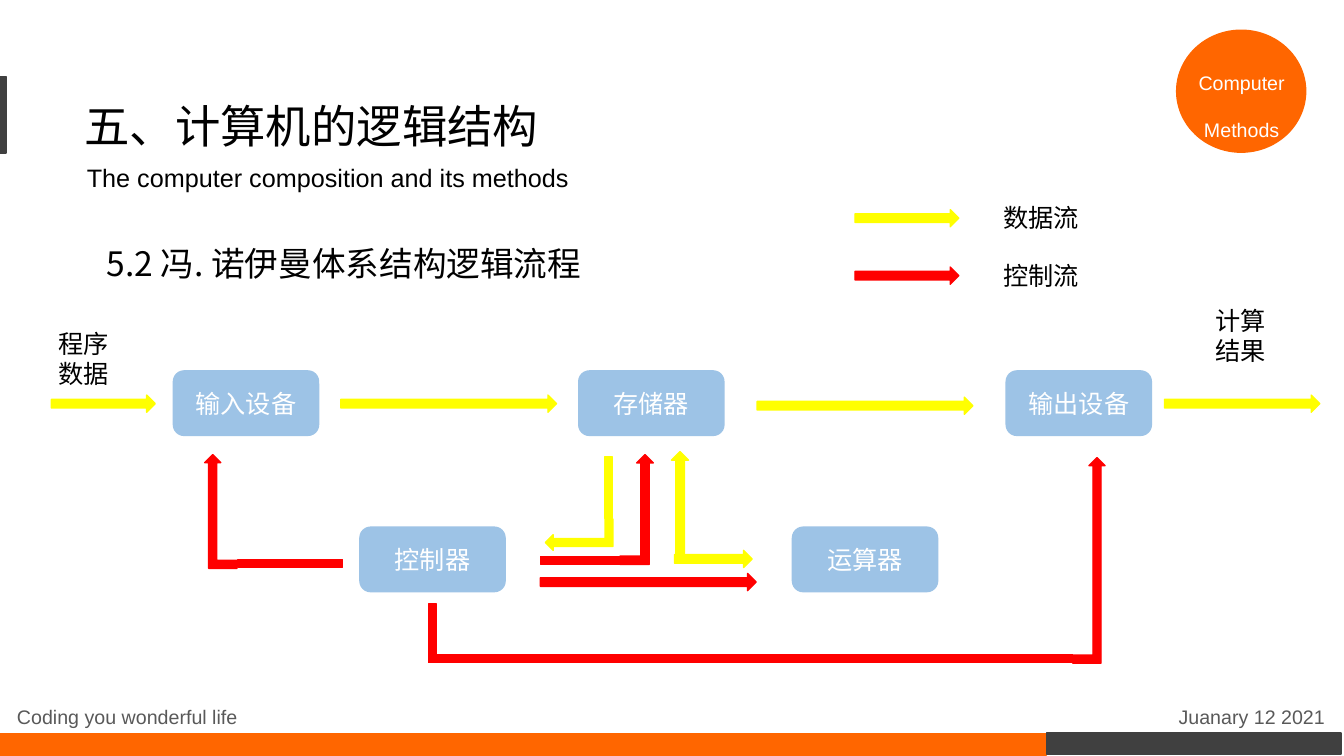
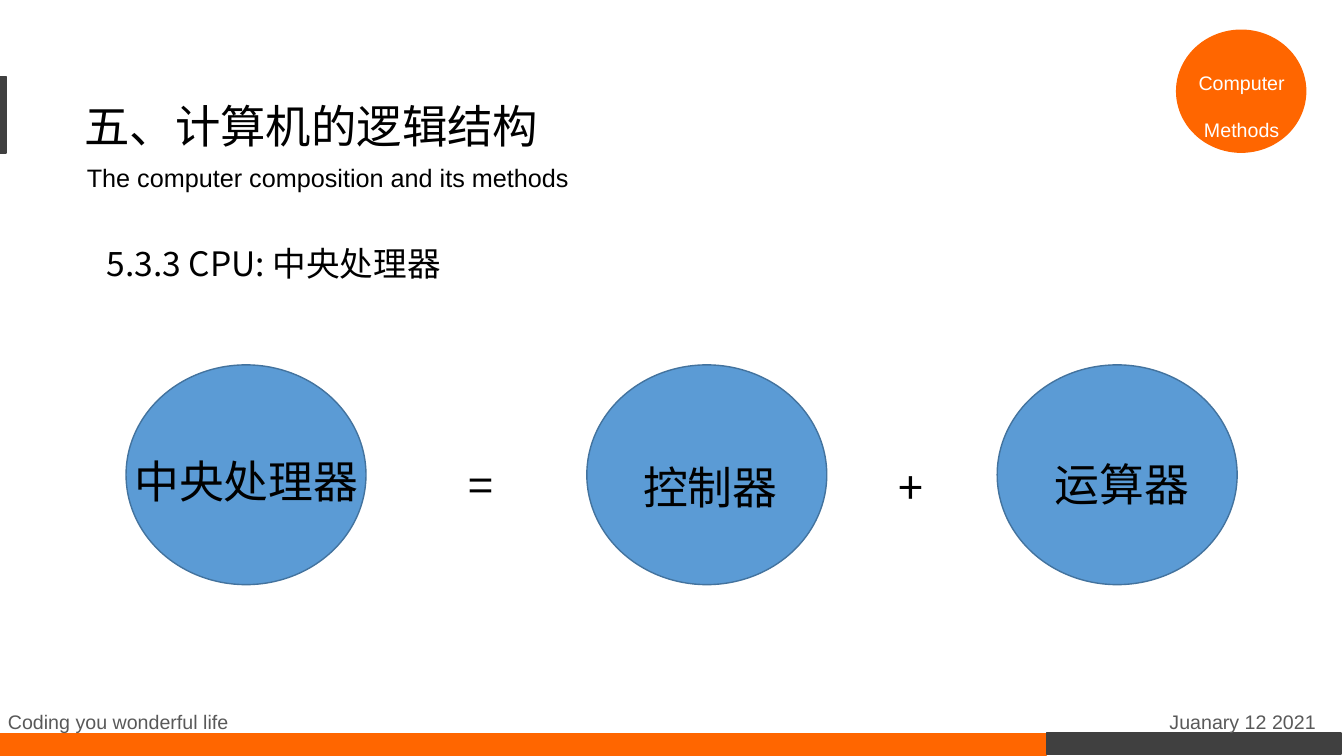
from dataclasses import dataclass

from pptx import Presentation
from pptx import util as u
from pptx.dml.color import RGBColor
from pptx.enum import lang, shapes, text
from pptx.oxml.ns import qn


@dataclass(frozen=True)
class Theme:
    orange: str = "FF6600"
    dark: str = "404040"
    grey: str = "595959"
    black: str = "000000"
    white: str = "FFFFFF"
    device: str = "9DC3E6"
    circle: str = "5B9BD5"
    circle_edge: str = "43739E"
    data: str = "FFFF00"
    control: str = "FF0000"
    latin: str = "Arial"
    han: str = "Noto Sans CJK SC"
    title: float = 32.4
    term: float = 32
    heading: float = 24
    body: float = 18
    small: float = 14


T = Theme()
KIND = shapes.MSO_SHAPE
LEFT, CENTER, RIGHT = (text.PP_ALIGN.LEFT, text.PP_ALIGN.CENTER,
                       text.PP_ALIGN.RIGHT)
SLIDE_W, SLIDE_H = 13.33, 7.5

# Shared content
TITLE = "五、计算机的逻辑结构"
SUBTITLE = "The computer composition and its methods"
BADGE = ["Computer", "Methods"]
FOOTER = [("Coding you wonderful life", LEFT), ("Juanary 12 2021", RIGHT)]
FRAME = [  # kind, box, colour
    (KIND.RECTANGLE, (-0.01, 7.28, 10.39, 0.21), T.orange),
    (KIND.RECTANGLE, (10.38, 7.27, 2.92, 0.21), T.dark),
    (KIND.OVAL, (11.67, 0.3, 1.28, 1.21), T.orange),
    (KIND.RECTANGLE, (-0.02, 0.76, 0.08, 0.76), T.dark),
]

# Flow slide: device grid and the arrows between devices
FLOW_HEADING = "5.2 冯. 诺伊曼体系结构逻辑流程"
LEGEND = [("数据流", T.data), ("控制流", T.control)]
LEGEND_TOP, LEGEND_PITCH = 1.96, 0.57
UPPER, LOWER = 3.68, 5.23
DEVICE_W, DEVICE_H = 1.44, 0.64
DEVICES = [
    ("输入设备", 1.72, UPPER), ("存储器", 5.74, UPPER),
    ("输出设备", 9.98, UPPER), ("控制器", 3.57, LOWER),
    ("运算器", 7.86, LOWER),
]
ENDS = [  # lines, box
    (["程序", "数据"], (0.48, 3.21, 0.8, 0.71)),
    (["计算结果"], (11.96, 2.98, 0.75, 0.71)),
]
BAR, HEAD = 0.08, 0.17
STRAIGHT = [  # left, top, length, colour, rotation
    (0.51, 3.92, 1.03, T.data, 0), (3.38, 3.92, 2.14, T.data, 0),
    (7.51, 3.94, 2.14, T.data, 0), (11.55, 3.92, 1.54, T.data, 0),
    (5.36, 5.69, 2.14, T.control, 0), (6.23, 4.91, 1.03, T.data, 270),
    (6.69, 5.46, 0.77, T.data, 0),
]
ELBOWS = [  # box, colour, rotation, mirrored
    ((2.03, 4.51, 0.32, 1.13), T.control, 0, True),
    ((6.15, 4.51, 0.33, 1.09), T.control, 0, False),
    ((10.64, 4.54, 0.32, 2.04), T.control, 0, False),
    ((5.59, 4.97, 0.31, 0.67), T.data, 270, True),
]
TAILS = [  # left, top, length, colour, rotation
    (2.36, 5.55, 1.04, T.control, 0), (5.36, 5.52, 0.87, T.control, 0),
    (4.25, 6.49, 6.39, T.control, 0), (4.0, 6.24, 0.58, T.control, 90),
    (5.73, 4.8, 0.61, T.data, 270),
]

# CPU slide: an equation of circles
CPU_HEADING = "5.3.3 CPU: 中央处理器"
TERMS = [  # term, circle left, text left, text top
    ("中央处理器", 1.25, 1.14, 4.45), ("控制器", 5.82, 5.74, 4.51),
    ("运算器", 9.89, 9.82, 4.48),
]
SIGNS = [("=", 4.55, 4.49), ("+", 8.81, 4.51)]
CIRCLE_TOP, CIRCLE_W, CIRCLE_H = 3.62, 2.38, 2.18
TERM_W, SIGN_W, TERM_H = 2.61, 0.56, 0.64


def inches(box):
    return [u.Inches(length) for length in box]


def write(frame, lines, size, color, font=T.latin, align=LEFT, gap=0):
    """Fill a text frame, one paragraph a line."""
    frame.word_wrap = True
    for i, line in enumerate(lines):
        par = frame.paragraphs[0] if i == 0 else frame.add_paragraph()
        par.alignment = align
        if i and gap:
            par.space_before = u.Pt(gap)
        run = par.add_run()
        run.text = line
        run.font.size, run.font.name = u.Pt(size), font
        run.font.color.rgb = RGBColor.from_string(color)
        run.font.language_id = lang.MSO_LANGUAGE_ID.SIMPLIFIED_CHINESE
    return frame


def label(slide, box, lines, size, color=T.black, **style):
    frame = slide.shapes.add_textbox(*inches(box)).text_frame
    return write(frame, lines, size, color, **style)


def block(slide, kind, box, color, edge=None, turn=0, mirrored=False):
    shape = slide.shapes.add_shape(kind, *inches(box))
    shape.shadow.inherit = False
    shape.fill.solid()
    shape.fill.fore_color.rgb = RGBColor.from_string(color)
    shape.line.color.rgb = RGBColor.from_string(edge or color)
    shape.line.width = u.Pt(1)
    shape.rotation = turn
    if mirrored:
        shape._element.spPr.find(qn("a:xfrm")).set("flipH", "1")
    return shape


def new_slide(deck, heading, heading_w, footer_left, footer_top):
    """Blank slide with title, bands, badge, footer and section heading."""
    slide = deck.slides.add_slide(deck.slide_layouts[6])
    title = label(slide, (0.74, 0.76, 9.77, 0.8), [TITLE], T.title,
                  font=T.han)
    title.vertical_anchor = text.MSO_ANCHOR.BOTTOM
    title.paragraphs[0].line_spacing = 1.3
    for kind, box, color in FRAME:
        block(slide, kind, box, color)
    half = (SLIDE_W - 0.16) / 2
    for i, (line, align) in enumerate(FOOTER):
        label(slide, (footer_left + i * half, footer_top, half, 0.34), [line],
              T.small, T.grey, align=align)
    label(slide, (0.07, 1.56, 5.67, 0.4), [SUBTITLE], T.body, align=RIGHT)
    label(slide, (11.69, 0.65, 1.25, 0.57), BADGE, T.small, T.white,
          align=CENTER, gap=17)
    label(slide, (0.96, 2.36, heading_w, 0.5), [heading], T.heading,
          font=T.han)
    return slide


def flow_slide(deck):
    slide = new_slide(deck, FLOW_HEADING, 4.95, 0.07, 6.94)
    # Legend
    for i, (name, color) in enumerate(LEGEND):
        top = LEGEND_TOP + i * LEGEND_PITCH
        block(slide, KIND.RIGHT_ARROW, (8.48, top + 0.12, 1.03, HEAD), color)
        label(slide, (9.85, top, 1.05, 0.4), [name], T.body)
    # Devices
    for name, left, top in DEVICES:
        device = block(slide, KIND.ROUNDED_RECTANGLE,
                       (left, top, DEVICE_W, DEVICE_H), T.device)
        frame = write(device.text_frame, [name], T.body, T.white,
                      align=CENTER)
        frame.vertical_anchor = text.MSO_ANCHOR.MIDDLE
    for lines, box in ENDS:
        label(slide, box, lines, T.body)
    # Flows
    for kind, thickness, flows in ((KIND.RIGHT_ARROW, HEAD, STRAIGHT),
                                   (KIND.RECTANGLE, BAR, TAILS)):
        for left, top, length, color, turn in flows:
            block(slide, kind, (left, top, length, thickness), color,
                  turn=turn)
    for box, color, turn, mirrored in ELBOWS:
        block(slide, KIND.BENT_UP_ARROW, box, color, turn=turn,
              mirrored=mirrored)


def cpu_slide(deck):
    slide = new_slide(deck, CPU_HEADING, 3.57, -0.02, 6.99)
    for term, left, text_left, text_top in TERMS:
        block(slide, KIND.OVAL, (left, CIRCLE_TOP, CIRCLE_W, CIRCLE_H),
              T.circle, T.circle_edge)
        label(slide, (text_left, text_top, TERM_W, TERM_H), [term], T.term,
              font=T.han, align=CENTER)
    for sign, left, top in SIGNS:
        label(slide, (left, top, SIGN_W, TERM_H), [sign], T.term, font=T.han)


def main():
    deck = Presentation()
    deck.slide_width, deck.slide_height = inches((SLIDE_W, SLIDE_H))
    flow_slide(deck)
    cpu_slide(deck)
    deck.save("out.pptx")


if __name__ == "__main__":
    main()
